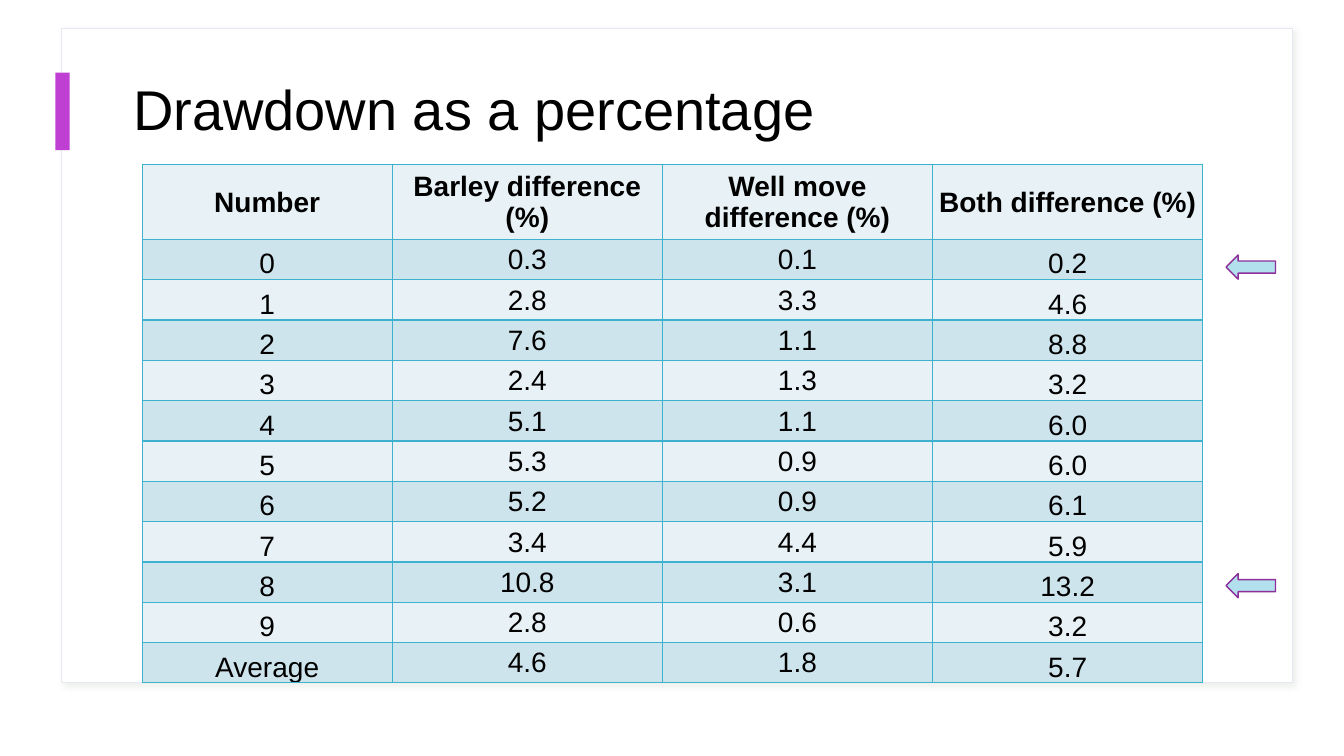
from lxml.etree import SubElement
from pptx import Presentation
from pptx.dml.color import RGBColor
from pptx.enum.shapes import MSO_SHAPE as Shape
from pptx.enum.text import MSO_ANCHOR as Anchor, PP_ALIGN as Align
from pptx.oxml.ns import qn
from pptx.util import Inches, Pt

FONT = "Arial"
BLACK, WHITE = "000000", "FFFFFF"
BORDER = "3EB1CF"
LIGHT_ROW, DARK_ROW = "E8F2F6", "CEE4ED"


def color(hex_string):
    return RGBColor.from_string(hex_string)


def add_block(kind, left, top, width, height, fill, line=None):
    """Add a preset shape without shadow; it has a 1 pt outline if line is given."""
    shape = slide.shapes.add_shape(
        kind, Inches(left), Inches(top), Inches(width), Inches(height))
    shape.shadow.inherit = False
    shape.fill.solid()
    shape.fill.fore_color.rgb = color(fill)
    if line:
        shape.line.color.rgb = color(line)
        shape.line.width = Pt(1)
    else:
        shape.line.fill.background()
    return shape


presentation = Presentation()
presentation.slide_width = Inches(13.33)
presentation.slide_height = Inches(7.5)
slide = presentation.slides.add_slide(presentation.slide_layouts[5])

# Title
title = slide.shapes.title
title.left, title.top = Inches(1.22), Inches(0.56)
title.width, title.height = Inches(11.19), Inches(1.11)
title.text_frame.text = "Drawdown as a percentage"
title.text_frame.word_wrap = True
title.text_frame.vertical_anchor = Anchor.MIDDLE
paragraph = title.text_frame.paragraphs[0]
paragraph.alignment = Align.LEFT
paragraph.line_spacing = 0.9
paragraph.font.name = FONT
paragraph.font.size = Pt(40)
paragraph.font.color.rgb = color(BLACK)

# Card with a soft shadow, placed behind the title
card = add_block(Shape.RECTANGLE, 0.61, 0.28, 12.21, 6.49, WHITE, "E5E8F0")
effects = card._element.spPr.find(qn("a:effectLst"))
shadow = SubElement(effects, qn("a:outerShdw"), blurRad=str(Pt(4)),
                    dist=str(Pt(3)), dir=str(45 * 60000), algn="tl", rotWithShape="0")
shadow_color = SubElement(shadow, qn("a:srgbClr"), val="BECABC")
SubElement(shadow_color, qn("a:alpha"), val="30000")
title._element.addprevious(card._element)

add_block(Shape.RECTANGLE, 0.55, 0.72, 0.14, 0.77, "BE3FD1")

# Table
rows = [
    ("Number", "Barley difference (%)", "Well move difference (%)", "Both difference (%)"),
    ("0", "0.3", "0.1", "0.2"),
    ("1", "2.8", "3.3", "4.6"),
    ("2", "7.6", "1.1", "8.8"),
    ("3", "2.4", "1.3", "3.2"),
    ("4", "5.1", "1.1", "6.0"),
    ("5", "5.3", "0.9", "6.0"),
    ("6", "5.2", "0.9", "6.1"),
    ("7", "3.4", "4.4", "5.9"),
    ("8", "10.8", "3.1", "13.2"),
    ("9", "2.8", "0.6", "3.2"),
    ("Average", "4.6", "1.8", "5.7"),
]
column_widths = [2.48, 2.68, 2.68, 2.68]
table = slide.shapes.add_table(
    len(rows), len(column_widths),
    Inches(1.41), Inches(1.635), Inches(10.52), Inches(5.14)).table
for column, width in zip(table.columns, column_widths):
    column.width = Inches(width)

for row_index, values in enumerate(rows):
    is_header = row_index == 0
    table.rows[row_index].height = Inches(0.74 if is_header else 0.4)
    for column_index, value in enumerate(values):
        cell = table.cell(row_index, column_index)
        cell.text_frame.text = value
        cell.margin_left = cell.margin_right = cell.margin_top = Inches(0.01)
        cell.margin_bottom = 0
        is_outer = column_index in (0, len(values) - 1)
        cell.vertical_anchor = Anchor.BOTTOM if is_outer and not is_header else Anchor.MIDDLE

        paragraph = cell.text_frame.paragraphs[0]
        paragraph.alignment = Align.CENTER
        font = paragraph.runs[0].font
        font.name = FONT
        font.size = Pt(20)
        font.bold = is_header
        font.color.rgb = color(BLACK)

        properties = cell._tc.get_or_add_tcPr()
        for side in ("a:lnL", "a:lnR", "a:lnT", "a:lnB"):
            border = SubElement(properties, qn(side), w=str(Pt(1)))
            border_fill = SubElement(border, qn("a:solidFill"))
            SubElement(border_fill, qn("a:srgbClr"), val=BORDER)
        cell.fill.solid()
        cell.fill.fore_color.rgb = color(DARK_ROW if row_index % 2 else LIGHT_ROW)

# Arrows pointing at the smallest and the largest drawdown
for top in (2.53, 5.69):
    add_block(Shape.LEFT_ARROW, 12.16, top, 0.49, 0.24, "B2E0EC", "8D2F9B")

presentation.save("out.pptx")
